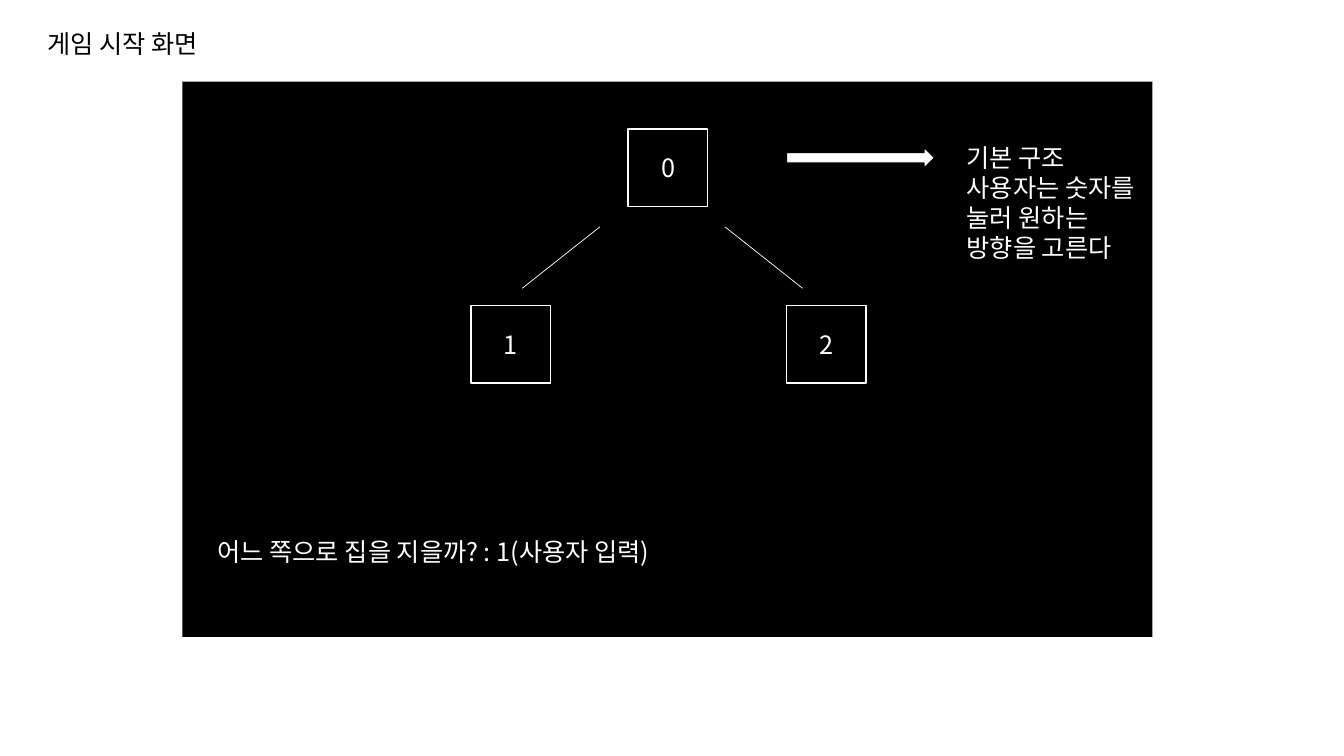
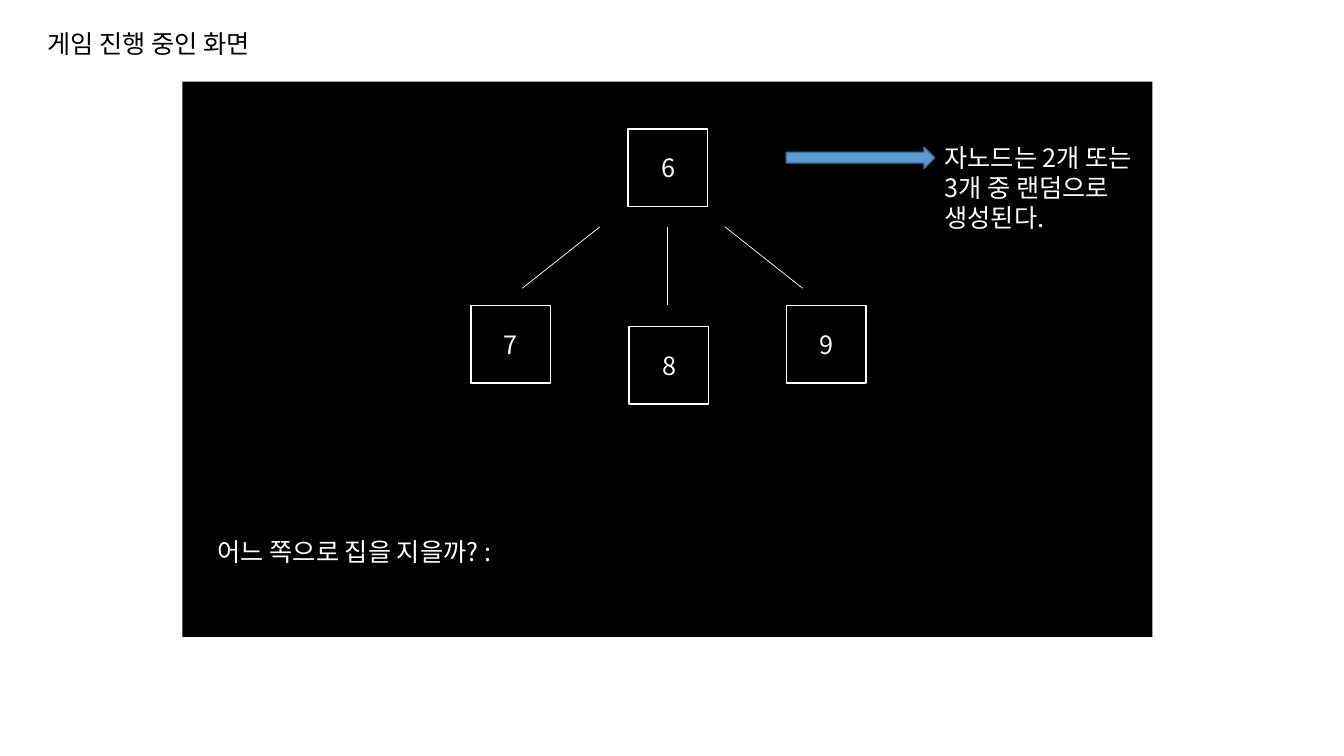
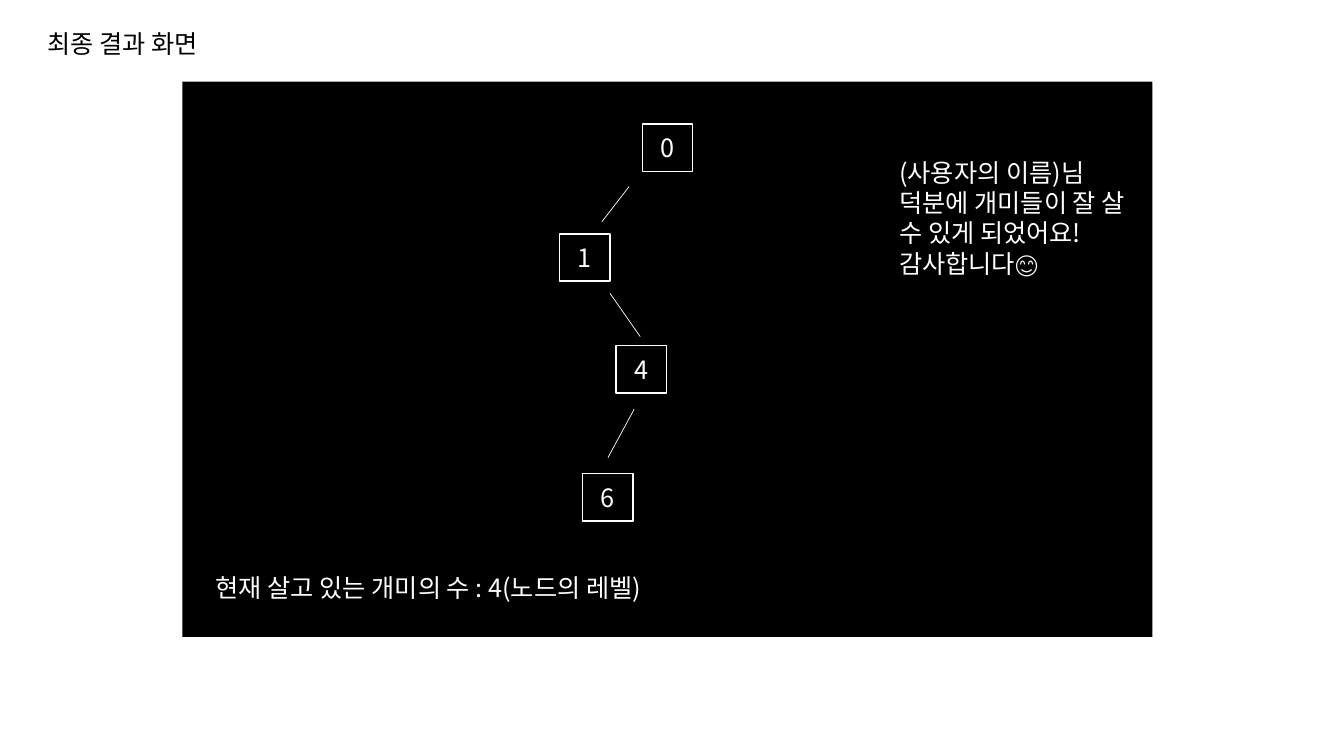
from dataclasses import dataclass

from lxml import etree
from pptx import Presentation
from pptx.dml.color import RGBColor
from pptx.enum.shapes import MSO_CONNECTOR as Connector, MSO_SHAPE as Preset
from pptx.enum.text import MSO_ANCHOR as Anchor, MSO_AUTO_SIZE as Fit, PP_ALIGN as Align
from pptx.oxml.ns import qn
from pptx.util import Inches, Pt

# Content: lengths in inches
BIG_NODE, SMALL_NODE = (0.79, 0.77), (0.5, 0.47)
BRANCHES = [((5.95, 2.25), (5.18, 2.86)), ((7.19, 2.25), (7.96, 2.86))]
TRUNK = ((6.62, 2.25), (6.62, 3.03))
ROOT, LEFT, RIGHT, MIDDLE = (6.23, 1.28), (4.67, 3.03), (7.8, 3.03), (6.24, 3.24)

SCREENS = [
    dict(
        title="게임 시작 화면", title_width=1.9,
        node_size=BIG_NODE,
        nodes=[("0", ROOT), ("1", LEFT), ("2", RIGHT)],
        edges=BRANCHES,
        arrow="plain",
        note=(["기본 구조", "사용자는 숫자를 눌러 원하는 방향을 고른다"], (9.49, 1.36, 1.94, 1.31)),
        prompt=(["어느 쪽으로 집을 지을까? : 1(사용자 입력)"], (2.06, 5.27, 5.64, 0.4)),
    ),
    dict(
        title="게임 진행 중인 화면", title_width=2.49,
        node_size=BIG_NODE,
        nodes=[("6", ROOT), ("7", LEFT), ("9", RIGHT), ("8", MIDDLE)],
        edges=BRANCHES + [TRUNK],
        arrow="accent",
        note=(["자노드는 2개 또는 3개 중 랜덤으로 생성된다."], (9.27, 1.36, 2.16, 1.01)),
        prompt=(["어느 쪽으로 집을 지을까? :"], (2.06, 5.27, 3.28, 0.4)),
    ),
    dict(
        title="최종 결과 화면", title_width=1.9,
        node_size=SMALL_NODE,
        nodes=[("0", (6.37, 1.23)), ("1", (5.55, 2.32)), ("4", (6.11, 3.43)), ("6", (5.78, 4.7))],
        edges=[((6.24, 1.85), (5.97, 2.2)), ((6.05, 2.91), (6.35, 3.34)), ((6.29, 4.06), (6.03, 4.54))],
        arrow=None,
        note=(["(사용자의 이름)님 덕분에 개미들이 잘 살 수 있게 되었어요! 감사합니다😊"],
              (8.82, 1.51, 2.49, 1.31)),
        prompt=(["현재 살고 있는 개미의 수 : 4(노드의 레벨)"], (2.04, 5.63, 5.21, 0.4)),
    ),
]


# Theme and shared geometry
@dataclass(frozen=True)
class Theme:
    paper: str = "FFFFFF"
    ink: str = "000000"
    accent: str = "5B9BD5"
    accent_edge: str = "43739E"
    font: str = "Noto Sans CJK KR"
    size: float = 18
    outline: float = 1
    edge: float = 0.5


THEME = Theme()
ARROW_COLOURS = {"plain": (THEME.paper, THEME.ink), "accent": (THEME.accent, THEME.accent_edge)}
CONSOLE = (1.81, 0.81, 9.62, 5.51)
ARROW = (7.8, 1.46, 1.47, 0.21)
TITLE_CORNER, TITLE_HEIGHT = (0.37, 0.23), 0.4

TITLE_FRAME = dict(word_wrap=False, auto_size=Fit.SHAPE_TO_FIT_TEXT, vertical_anchor=Anchor.TOP)
BOX_FRAME = dict(word_wrap=True, auto_size=Fit.SHAPE_TO_FIT_TEXT, vertical_anchor=Anchor.TOP)
NODE_FRAME = dict(word_wrap=True, vertical_anchor=Anchor.MIDDLE)


def assign(target, values):
    for key, value in values.items():
        setattr(target, key, value)


def inches(lengths):
    return [Inches(length) for length in lengths]


def write(shape, lines, colour, frame_format, align=Align.LEFT):
    frame = shape.text_frame
    assign(frame, frame_format)
    for index, line in enumerate(lines):
        paragraph = frame.add_paragraph() if index else frame.paragraphs[0]
        assign(paragraph, dict(alignment=align, space_before=Pt(0)))
        run = paragraph.add_run()
        run.text = line
        assign(run.font, dict(name=THEME.font, size=Pt(THEME.size)))
        run.font.color.rgb = RGBColor.from_string(colour)
        # Korean glyphs take the East Asian typeface
        etree.SubElement(run.font._element, qn("a:ea"), typeface=THEME.font)


def add_block(slide, preset, place, fill, line=None):
    block = slide.shapes.add_shape(preset, *inches(place))
    block.shadow.inherit = False
    block.fill.solid()
    block.fill.fore_color.rgb = RGBColor.from_string(fill)
    if line:
        block.line.color.rgb = RGBColor.from_string(line)
        block.line.width = Pt(THEME.outline)
    else:
        block.line.fill.background()
    return block


def add_edge(slide, start, end):
    edge = slide.shapes.add_connector(Connector.STRAIGHT, *inches(start + end))
    edge.line.color.rgb = RGBColor.from_string(THEME.paper)
    edge.line.width = Pt(THEME.edge)
    etree.SubElement(edge._element.spPr, qn("a:effectLst"))


def build_screen(deck, screen):
    slide = deck.slides.add_slide(deck.slide_layouts[5])

    # Title
    title = slide.shapes.title
    place = inches((*TITLE_CORNER, screen["title_width"], TITLE_HEIGHT))
    assign(title, dict(zip(("left", "top", "width", "height"), place)))
    write(title, [screen["title"]], THEME.ink, TITLE_FRAME)

    # Console with its tree
    add_block(slide, Preset.RECTANGLE, CONSOLE, THEME.ink)
    for start, end in screen["edges"]:
        add_edge(slide, start, end)
    for label, corner in screen["nodes"]:
        node = add_block(slide, Preset.RECTANGLE, corner + screen["node_size"], THEME.ink, THEME.paper)
        write(node, [label], THEME.paper, NODE_FRAME, Align.CENTER)

    # Arrow, note and prompt
    if screen["arrow"]:
        add_block(slide, Preset.RIGHT_ARROW, ARROW, *ARROW_COLOURS[screen["arrow"]])
    for lines, place in (screen["note"], screen["prompt"]):
        write(slide.shapes.add_textbox(*inches(place)), lines, THEME.paper, BOX_FRAME)


deck = Presentation()
assign(deck, dict(slide_width=Inches(13.33), slide_height=Inches(7.5)))
for screen in SCREENS:
    build_screen(deck, screen)
deck.save("out.pptx")
